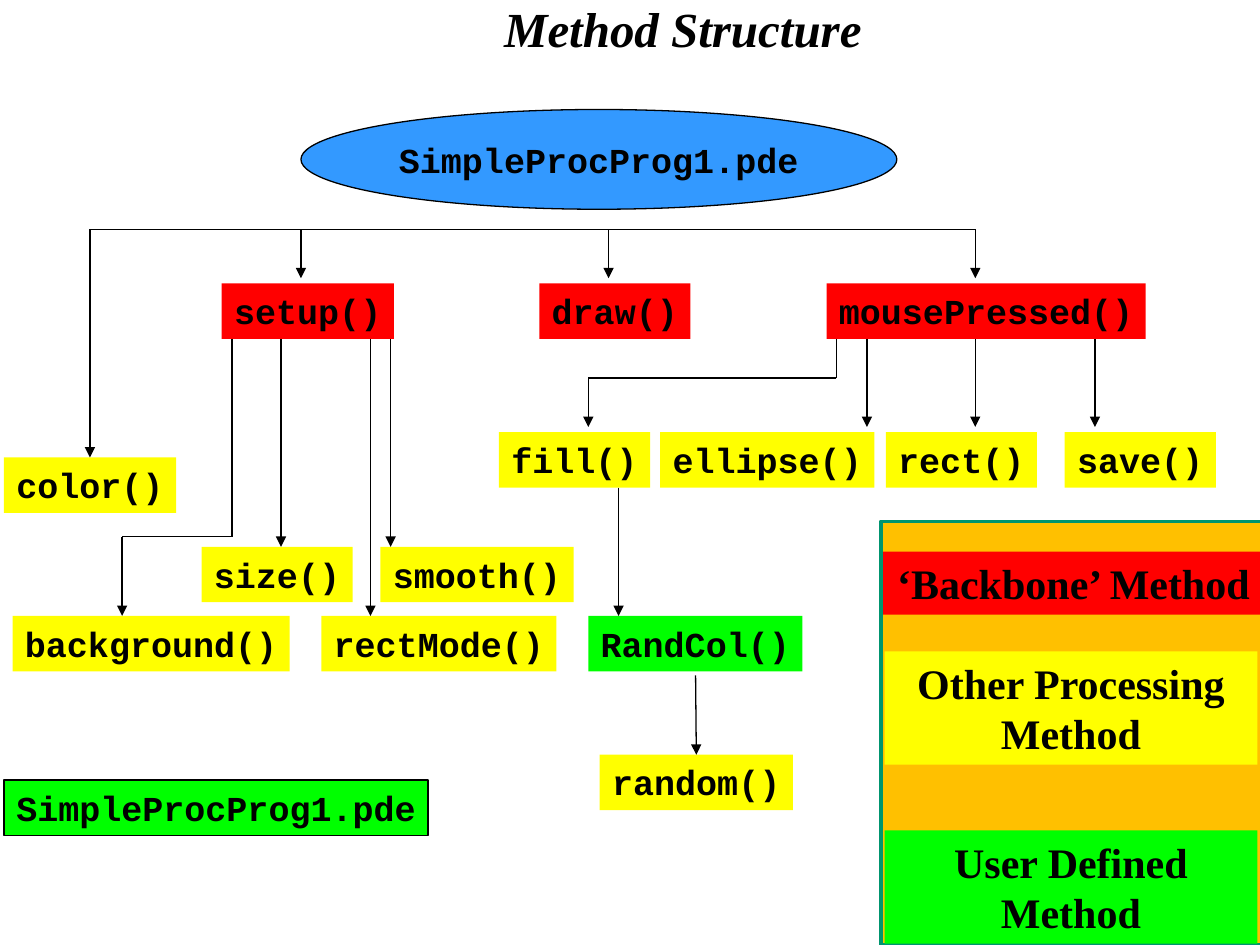
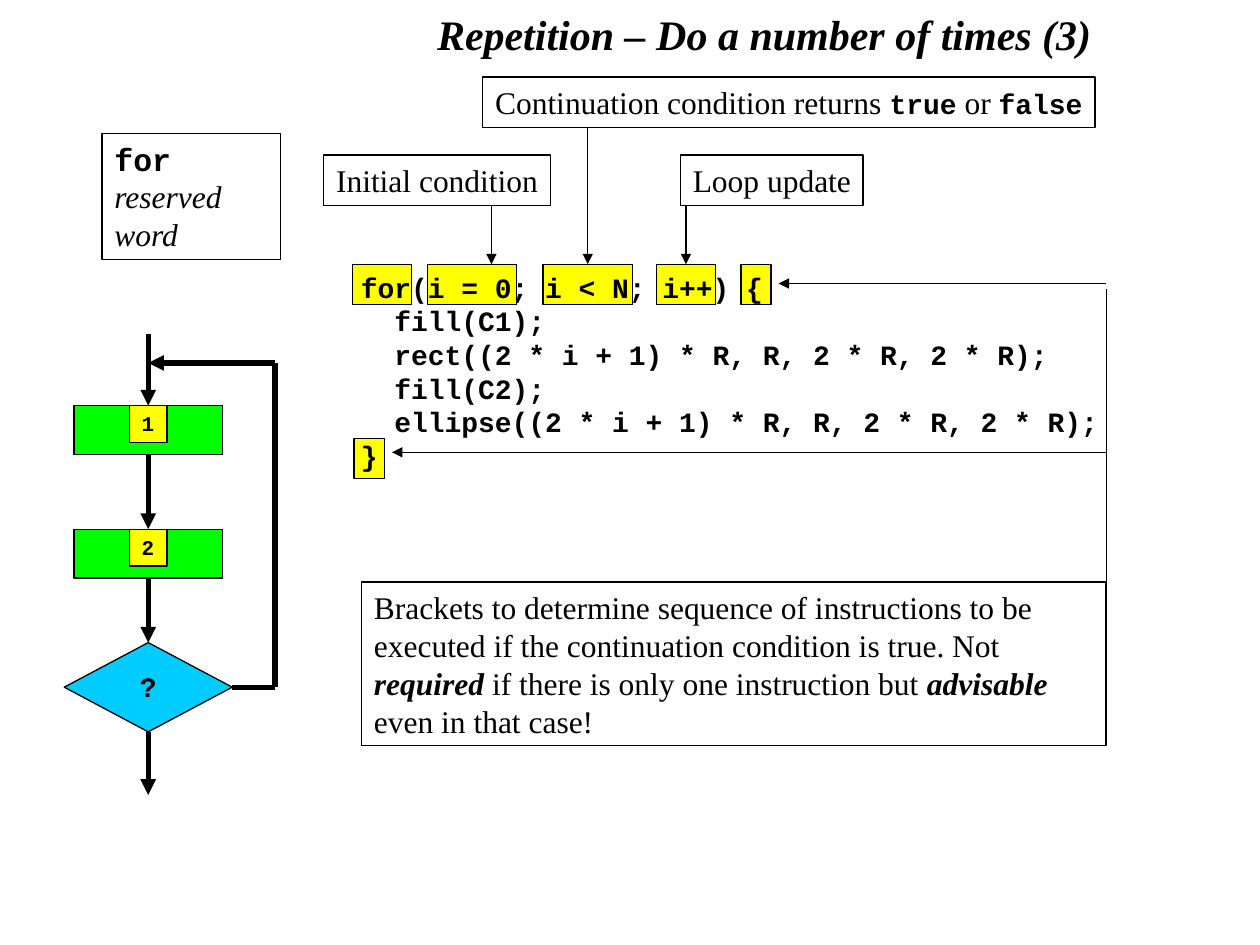
from dataclasses import dataclass

from lxml import etree
from pptx import Presentation
from pptx.dml.color import RGBColor
from pptx.enum.shapes import MSO_CONNECTOR, MSO_SHAPE
from pptx.enum.text import MSO_ANCHOR, MSO_AUTO_SIZE, PP_ALIGN
from pptx.oxml.ns import qn
from pptx.util import Pt

RECT, ELLIPSE, DIAMOND = MSO_SHAPE.RECTANGLE, MSO_SHAPE.OVAL, MSO_SHAPE.DIAMOND
STRAIGHT = MSO_CONNECTOR.STRAIGHT
LEFT, CENTER = PP_ALIGN.LEFT, PP_ALIGN.CENTER
TOP, MIDDLE = MSO_ANCHOR.TOP, MSO_ANCHOR.MIDDLE
SITE_TOP, SITE_BOTTOM, SITE_RIGHT = 0, 2, 3

COLORS = {
    "ink": "000000", "paper": "FFFFFF", "backbone": "FF0000", "other": "FFFF00",
    "user": "00FF00", "program": "3399FF", "test": "00CCFF",
    "legend": "FFC000", "legend_edge": "00956F",
}
TITLE_ONLY = 5
THIN, THICK = 0.75, 3
LINE_PITCH = 1.2
NODE_HEIGHT = 31.7


def mono(size):
    return {"name": "Courier New", "size": Pt(size), "bold": True, "italic": False}


def serif(size, bold=False, italic=False):
    return {"name": "Times New Roman", "size": Pt(size), "bold": bold, "italic": italic}


@dataclass
class Box:
    left: float
    top: float
    width: float
    height: float

    def inner(self, x, y, width, height):
        return Box(self.left + x, self.top + y, width, height)

    def point(self, x, y):
        return self.left + x, self.top + y

    def lengths(self):
        return [Pt(v) for v in (self.left, self.top, self.width, self.height)]


def rgb(name):
    return RGBColor.from_string(COLORS[name])


def write(frame, paras, align=LEFT, anchor=TOP, wrap=True, pitch=LINE_PITCH):
    """Fill a frame with paragraphs, each a list of (text, font format) spans."""
    settings = {"word_wrap": wrap, "vertical_anchor": anchor,
                "auto_size": MSO_AUTO_SIZE.NONE}
    for key, value in settings.items():
        setattr(frame, key, value)
    for index, spans in enumerate(paras):
        para = frame.add_paragraph() if index else frame.paragraphs[0]
        para.alignment = align
        tallest = max(style["size"].pt for _, style in spans)
        para.line_spacing = Pt(round(tallest * pitch, 1))
        for text, style in spans:
            span = para.add_run()
            span.text = text
            span.font.color.rgb = rgb("ink")
            for key, value in style.items():
                setattr(span.font, key, value)


def add_block(page, box, fill=None, edge="ink", weight=THIN, kind=RECT,
              paras=(), **layout):
    block = page.shapes.add_shape(kind, *box.lengths())
    block.shadow.inherit = False
    if fill:
        block.fill.solid()
        block.fill.fore_color.rgb = rgb(fill)
    else:
        block.fill.background()
    if edge:
        block.line.color.rgb = rgb(edge)
        block.line.width = Pt(weight)
    else:
        block.line.fill.background()
    if paras:
        write(block.text_frame, paras, **layout)
    return block


def add_line(page, start, end, weight=THIN, arrow=True, begin=None, finish=None):
    """Draw a line; begin and finish are optional (shape, site) joints."""
    line = page.shapes.add_connector(STRAIGHT, *[Pt(v) for v in (*start, *end)])
    line.line.color.rgb = rgb("ink")
    line.line.width = Pt(weight)
    if begin:
        line.begin_connect(*begin)
    if finish:
        line.end_connect(*finish)
    properties = line.element.spPr
    if arrow:
        etree.SubElement(properties.find(qn("a:ln")), qn("a:tailEnd"), type="triangle")
    etree.SubElement(properties, qn("a:effectLst"))


def add_page(deck, title, box, size, **layout):
    page = deck.slides.add_slide(deck.slide_layouts[TITLE_ONLY])
    page.background.fill.solid()
    page.background.fill.fore_color.rgb = rgb("paper")
    holder = page.shapes.title
    holder.left, holder.top, holder.width, holder.height = box.lengths()
    write(holder.text_frame, [[(title, serif(size, True, True))]], **layout)
    return page


def add_node(page, box, x, y, name, fill, edge=None):
    """Draw a method label whose width follows the length of its name."""
    width = 12 * len(name) + 14.4
    return add_block(page, box.inner(x, y, width, NODE_HEIGHT), fill, edge,
                     paras=[[(name, mono(20))]], wrap=False)


def method_tree(page, box):
    bar, backbone, bend, calls = 71, 102, 156, 187
    upper, lower, bottom = 252.5, 292, 371.3
    under_backbone = backbone + NODE_HEIGHT
    gap = 3
    add_block(page, box.inner(172, 2.6, 340.5, 57), "program", kind=ELLIPSE,
              paras=[[("SimpleProcProg1.pde", mono(20))]],
              align=CENTER, anchor=MIDDLE, wrap=False)
    rows = [
        (backbone, "backbone",
         [("setup()", 126.7), ("draw()", 308.2), ("mousePressed()", 472.3)]),
        (calls, "other",
         [("fill()", 285.1), ("ellipse()", 377.3), ("rect()", 506.2), ("save()", 608.4)]),
        (201.4, "other", [("color()", 2.2)]),
        (upper, "other", [("size()", 115.2), ("smooth()", 217.4)]),
        (lower, "other", [("background()", 7.2), ("rectMode()", 183.6)]),
        (lower, "user", [("RandCol()", 336.2)]),
        (bottom, "other", [("random()", 342.7)]),
    ]
    nodes = {name: add_node(page, box, x, y, name, fill)
             for y, fill, row in rows for name, x in row}

    color_x, last_x = 51.4, 557.3
    add_line(page, box.point(color_x, bar), box.point(last_x, bar), arrow=False)
    add_line(page, box.point(color_x, bar), box.point(color_x, 201.4),
             finish=(nodes["color()"], SITE_TOP))
    add_line(page, box.point(397.5, 326), box.point(397.5, bottom),
             finish=(nodes["random()"], SITE_TOP))

    drops = [(x, bar, backbone - gap) for x in (172, 347.8, last_x)]
    drops += [(x, under_backbone, calls - gap) for x in (495.4, last_x, 625.7)]
    drops += [(160.6, under_backbone, upper), (211.7, under_backbone, lower),
              (223.2, under_backbone, upper), (353.5, calls + NODE_HEIGHT, lower)]
    for x, start, end in drops:
        add_line(page, box.point(x, start), box.point(x, end))

    for source_x, turn, target_x, end in [(132.5, 246.7, 69.8, lower),
                                          (478, bend, 336.2, calls - gap)]:
        add_line(page, box.point(source_x, under_backbone),
                 box.point(source_x, turn), arrow=False)
        add_line(page, box.point(source_x, turn), box.point(target_x, turn), arrow=False)
        add_line(page, box.point(target_x, turn), box.point(target_x, end))


def legend(page, box):
    add_block(page, box, "legend", "legend_edge", 2)
    entries = [
        ("‘Backbone’ Method", "backbone", (1.4, 17.3, 217.4, 36), False),
        ("Other Processing Method", "other", (2.2, 74.2, 213, 64.8), True),
        ("User Defined Method", "user", (2.2, 176.5, 213, 64.8), True),
    ]
    for text, fill, place, wrap in entries:
        add_block(page, box.inner(*place), fill, None,
                  paras=[[(text, serif(24, bold=True))]], align=CENTER, wrap=wrap)


def reserved_word(page, box):
    add_block(page, box, paras=[[("for ", mono(18)),
                                 ("reserved word", serif(18, italic=True))]])


def loop_code(page, box):
    code_top, mark_height = 107, 23
    marks = {"for": (21.6, 0, 33.8), "start": (64.1, 0, 51.1), "test": (130.3, 0, 51.1),
             "update": (195.1, 0, 33.8), "open": (243.4, 0, 17.3),
             "close": (22.3, 99.6, 17.3)}
    blocks = {name: add_block(page, box.inner(x, code_top + y, width, mark_height), "other")
              for name, (x, y, width) in marks.items()}

    lines = ["  for(i = 0; i < N; i++) {",
             "    fill(C1);",
             "    rect((2 * i + 1) * R, R, 2 * R, 2 * R);",
             "    fill(C2);",
             "    ellipse((2 * i + 1) * R, R, 2 * R, 2 * R);",
             "  }"]
    text = page.shapes.add_textbox(*box.inner(0, code_top, 503, 122.4).lengths())
    write(text.text_frame, [[(line, mono(16))] for line in lines])

    plain, word = serif(18), mono(16)
    labels = [
        ((5, 44.6, 129.6), 100.8, None, [("Initial condition", plain)]),
        ((95.8, 0, 350), 155.85, "test",
         [("Continuation condition returns ", plain), ("true", word),
          (" or ", plain), ("false", word)]),
        ((208.8, 44.6, 104.4), 212, "update", [("Loop update", plain)]),
    ]
    height = 28.8
    for (x, y, width), arrow_x, target, spans in labels:
        add_line(page, box.point(arrow_x, y + height), box.point(arrow_x, code_top),
                 finish=(blocks[target], SITE_TOP) if target else None)
        add_block(page, box.inner(x, y, width, height), "paper", paras=[spans], wrap=False)


def bracket_note(page, box):
    """Draw the note at the foot of the box, with arrows to both brackets."""
    right, note_top = 452.1, 288.6
    plain, strong = serif(18), serif(18, True, True)
    add_block(page, box.inner(26.6, note_top, 425.5, 93.6), paras=[[
        ("Brackets to determine sequence of instructions to be executed if the "
         "continuation condition is true. Not ", plain),
        ("required", strong),
        (" if there is only one instruction but ", plain),
        ("advisable", strong),
        (" even in that case!", plain)]])
    add_line(page, box.point(right, note_top), box.point(right, 121), arrow=False)
    for y, bracket_x in [(118, 265), (214.5, 44)]:
        add_line(page, box.point(right, y), box.point(bracket_x, y))


def flowchart(page, box):
    middle, right = 48, 120.5
    merge, test_y = 16.6, 201.9
    steps = []
    for index in range(2):
        top = 41 + 70.6 * index
        steps.append(add_block(page, box.inner(5.5, top, 85, 28), "user"))
        add_block(page, box.inner(37.2, top, 21.6, 21), "other",
                  paras=[[(str(index + 1), mono(12))]], wrap=False, pitch=1.14)
    first, second = steps
    test = add_block(page, box.inner(0, 176.4, 96, 51), "test", kind=DIAMOND,
                     paras=[[("?", mono(16))]], align=CENTER, anchor=MIDDLE, pitch=1.14)

    entry, leave = box.point(middle, 0), box.point(middle, 263.5)
    turn, back = box.point(right, test_y), box.point(right, merge)
    add_line(page, entry, entry, THICK, finish=(first, SITE_TOP))
    for source, target in [(first, second), (second, test)]:
        add_line(page, entry, leave, THICK, begin=(source, SITE_BOTTOM),
                 finish=(target, SITE_TOP))
    add_line(page, entry, leave, THICK, begin=(test, SITE_BOTTOM))
    add_line(page, entry, turn, THICK, arrow=False, begin=(test, SITE_RIGHT))
    add_line(page, turn, back, THICK, arrow=False)
    add_line(page, back, box.point(middle, merge), THICK)


def method_structure(deck):
    page = add_page(deck, "Method Structure", Box(280.8, -4.3, 219, 41), 28, wrap=False)
    legend(page, Box(503.3, 298, 218, 242))
    method_tree(page, Box(0, 60, 720, 403))
    add_node(page, Box(2.2, 445.7, 242.4, NODE_HEIGHT), 0, 0,
             "SimpleProcProg1.pde", "user", "ink")


def repetition(deck):
    page = add_page(deck, "Repetition – Do a number of times (3)",
                    Box(224, 0, 425.5, 38), 24, align=CENTER, anchor=MIDDLE)
    code_box = Box(180, 44, 503, 382)
    loop_code(page, code_box)
    bracket_note(page, code_box)
    reserved_word(page, Box(58.3, 76.3, 102.2, 72))
    flowchart(page, Box(36.7, 190.8, 121, 264))


def main():
    deck = Presentation()
    deck.slide_width, deck.slide_height = Pt(720), Pt(540)
    method_structure(deck)
    repetition(deck)
    deck.save("out.pptx")


if __name__ == "__main__":
    main()
